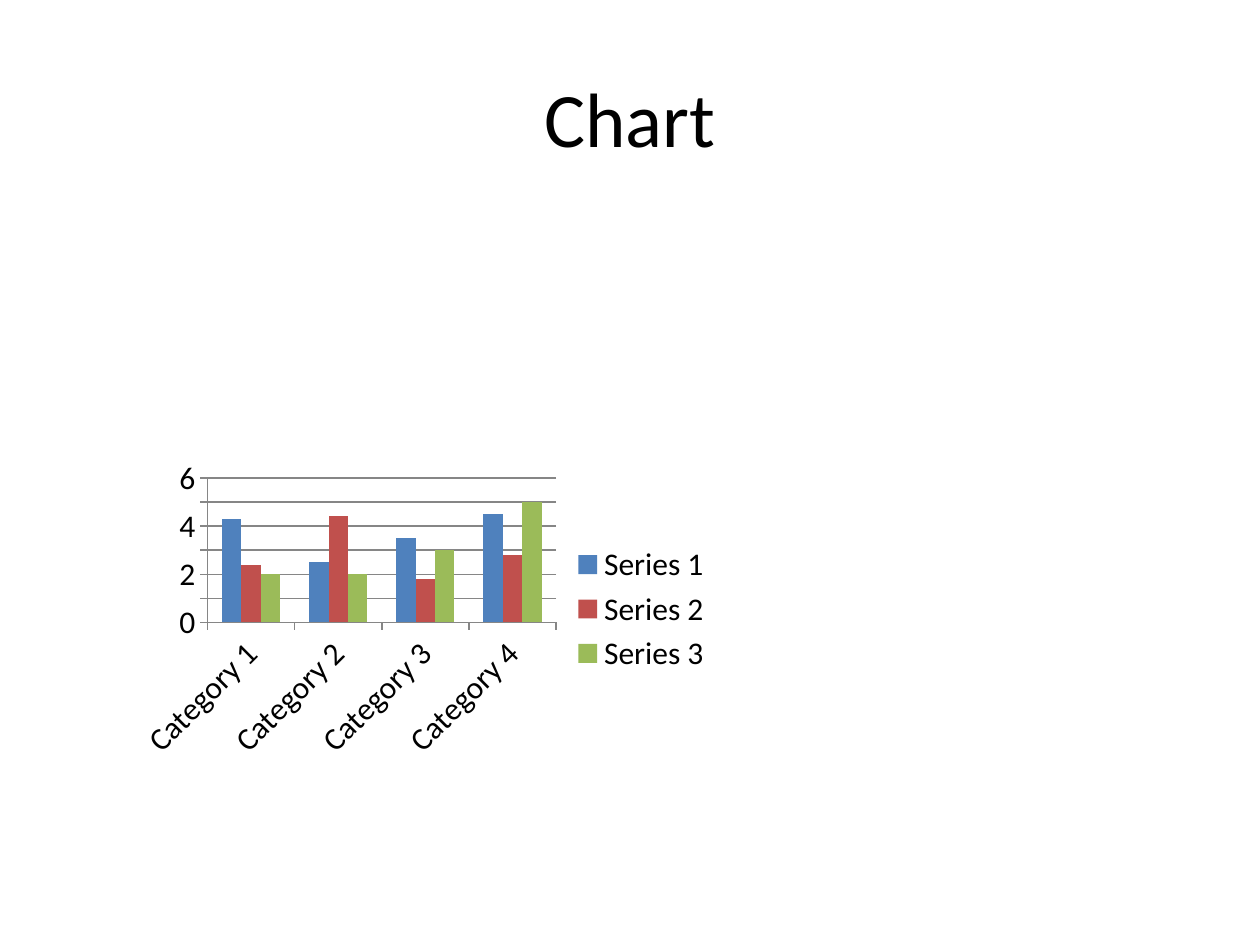
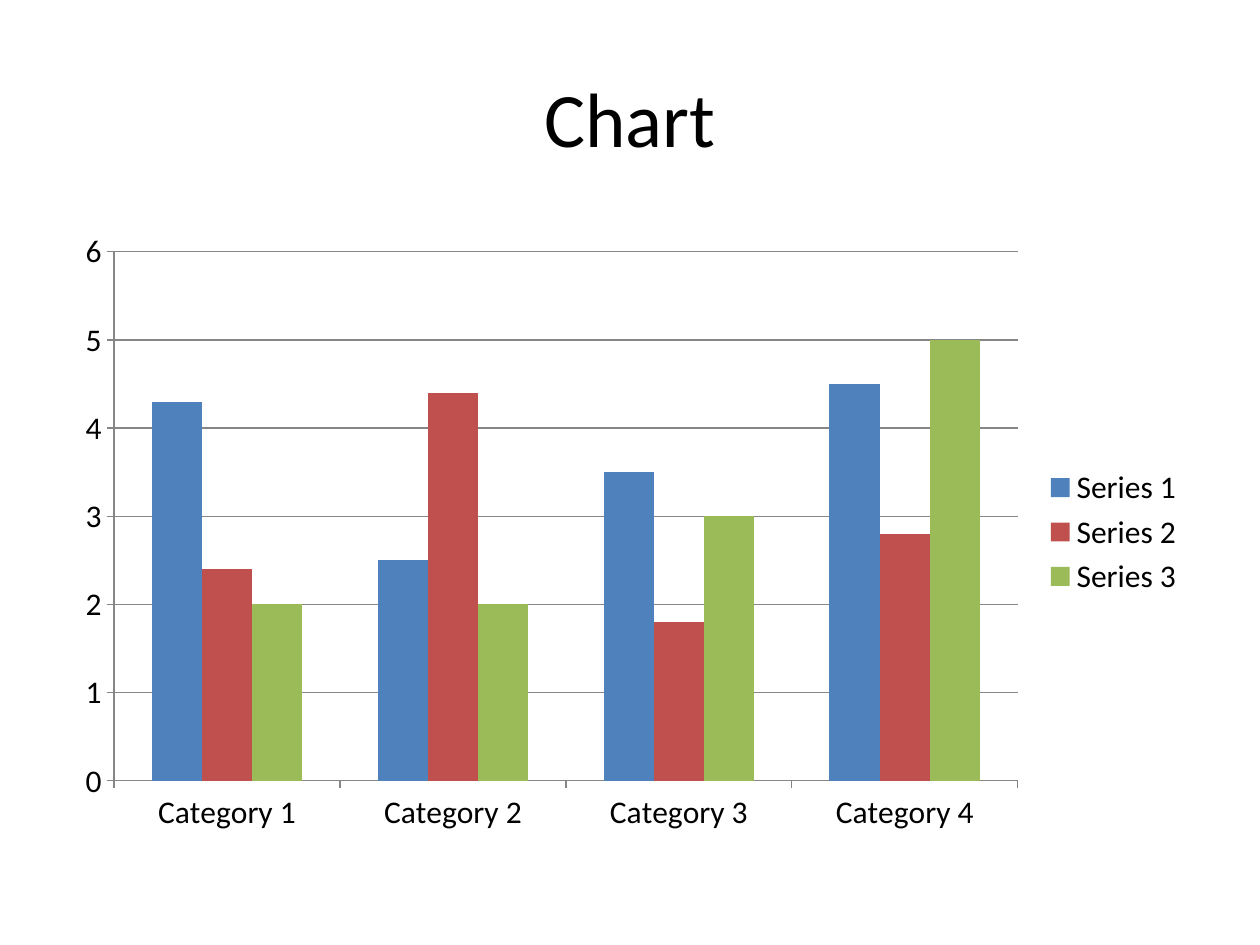
from pptx import Presentation
from pptx.chart.data import CategoryChartData
from pptx.dml.color import RGBColor
from pptx.enum.chart import XL_CHART_TYPE, XL_LEGEND_POSITION, XL_TICK_MARK
from pptx.enum.text import MSO_ANCHOR, PP_ALIGN
from pptx.util import Inches, Pt

BLACK = RGBColor(0x00, 0x00, 0x00)
WHITE = RGBColor(0xFF, 0xFF, 0xFF)
GREY = RGBColor(0x86, 0x86, 0x86)
BLUE = RGBColor(0x4F, 0x81, 0xBD)
RED = RGBColor(0xC0, 0x50, 0x4D)
GREEN = RGBColor(0x9B, 0xBB, 0x59)

CATEGORIES = [f"Category {number}" for number in range(1, 5)]
SERIES = [
    ("Series 1", (4.3, 2.5, 3.5, 4.5), BLUE),
    ("Series 2", (2.4, 4.4, 1.8, 2.8), RED),
    ("Series 3", (2, 2, 3, 5), GREEN),
]
TITLE_AREA = (0.05, 0.04, 0.9, 1 / 6)
SMALL_CHART_AREA = (0.102, 0.479, 0.473, 0.331)
FULL_CHART_AREA = (0.05, 0.233, 0.9, 0.66)


class ChartDeck:
    font_name = "Calibri"
    title_size = Pt(44)
    chart_size = Pt(18)
    line_width = Pt(0.75)

    def __init__(self):
        self.deck = Presentation()
        self.deck.slide_width = Inches(10)
        self.deck.slide_height = Inches(7.5)
        self.page = None

    def place(self, area):
        left, top, width, height = area
        across, down = self.deck.slide_width, self.deck.slide_height
        return (round(left * across), round(top * down),
                round(width * across), round(height * down))

    def style_font(self, font, size):
        font.name = self.font_name
        font.size = size
        font.color.rgb = BLACK

    def style_line(self, line):
        line.color.rgb = GREY
        line.width = self.line_width

    def add_page(self, title):
        self.page = self.deck.slides.add_slide(self.deck.slide_layouts[5])
        fill = self.page.background.fill
        fill.solid()
        fill.fore_color.rgb = WHITE
        box = self.page.shapes.title
        box.left, box.top, box.width, box.height = self.place(TITLE_AREA)
        box.text_frame.text = title
        box.text_frame.vertical_anchor = MSO_ANCHOR.MIDDLE
        para = box.text_frame.paragraphs[0]
        para.alignment = PP_ALIGN.CENTER
        self.style_font(para.font, self.title_size)

    def add_column_chart(self, area):
        data = CategoryChartData()
        data.categories = CATEGORIES
        for name, values, _ in SERIES:
            data.add_series(name, values)
        chart = self.page.shapes.add_chart(
            XL_CHART_TYPE.COLUMN_CLUSTERED, *self.place(area), data).chart
        chart.has_title = False
        self.style_font(chart.font, self.chart_size)
        chart.has_legend = True
        chart.legend.position = XL_LEGEND_POSITION.RIGHT
        chart.legend.include_in_layout = False

        plot = chart.plots[0]
        plot.vary_by_categories = False
        plot.gap_width = 150
        for series, (_, _, color) in zip(plot.series, SERIES):
            series.format.fill.solid()
            series.format.fill.fore_color.rgb = color

        for axis in (chart.category_axis, chart.value_axis):
            axis.major_tick_mark = XL_TICK_MARK.OUTSIDE
            axis.minor_tick_mark = XL_TICK_MARK.NONE
            self.style_line(axis.format.line)
        scale = chart.value_axis
        scale.minimum_scale, scale.maximum_scale, scale.major_unit = 0, 6, 1
        scale.has_major_gridlines = True
        self.style_line(scale.major_gridlines.format.line)


def main():
    charts = ChartDeck()
    for area in (SMALL_CHART_AREA, FULL_CHART_AREA):
        charts.add_page("Chart")
        charts.add_column_chart(area)
    charts.deck.save("out.pptx")


if __name__ == "__main__":
    main()
